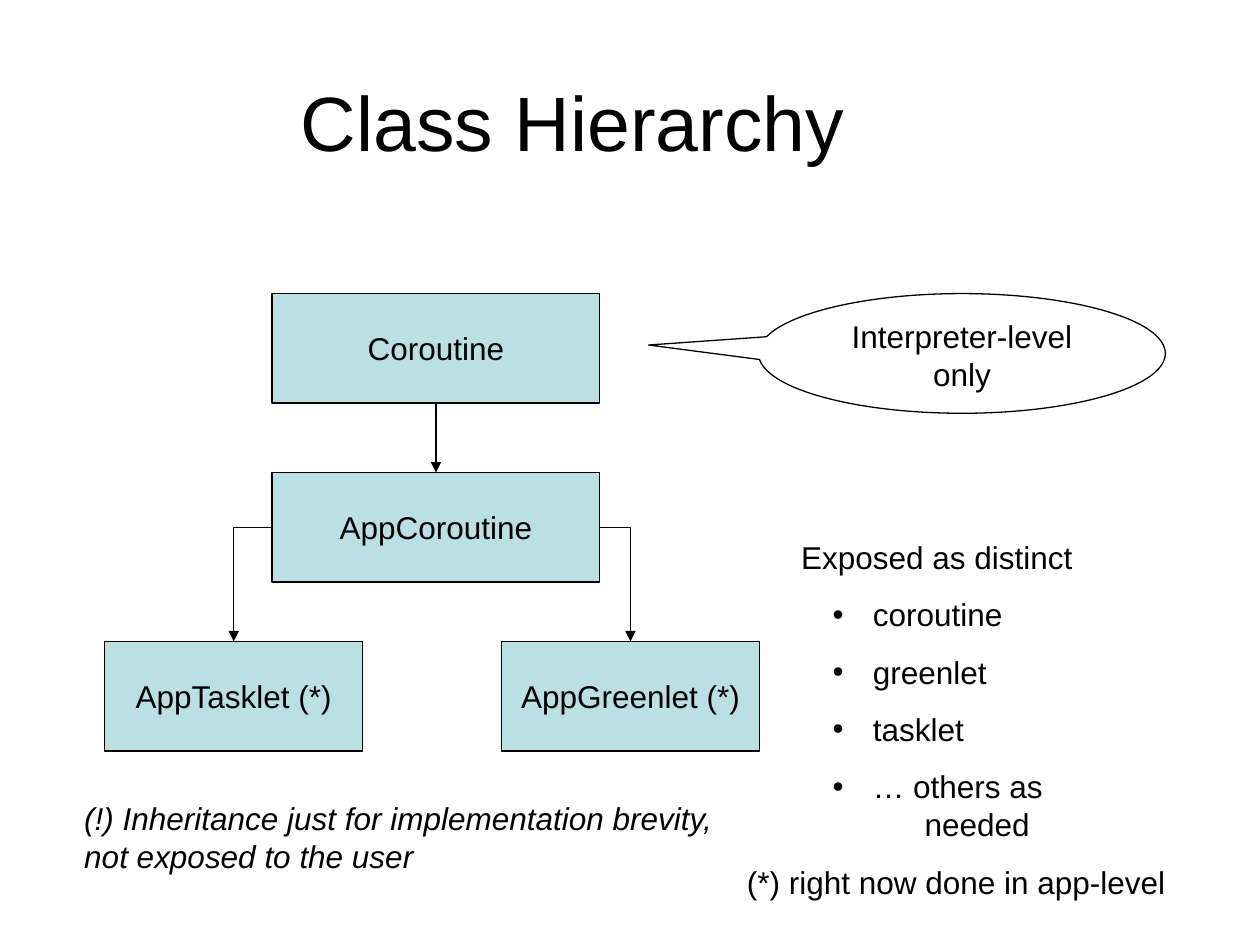
from lxml.etree import SubElement
from pptx import Presentation
from pptx.dml.color import RGBColor
from pptx.enum.shapes import MSO_CONNECTOR as Link, MSO_SHAPE as Shape
from pptx.enum.text import MSO_ANCHOR as Anchor, PP_ALIGN as Align
from pptx.oxml.ns import qn
from pptx.util import Inches, Pt

BLACK = RGBColor(0x00, 0x00, 0x00)
PALE_TEAL = RGBColor(0xBB, 0xE0, 0xE3)
TOP, LEFT, BOTTOM, RIGHT = range(4)


def style(para, size=18, align=Align.LEFT, italic=False, before=0):
    para.alignment = align
    para.space_before = Pt(before)
    font = para.font
    font.name, font.size, font.italic = "Arial", Pt(size), italic
    font.color.rgb = BLACK


def add_text(page, place, lines, anchor=Anchor.TOP, **look):
    frame = page.shapes.add_textbox(*map(Inches, place)).text_frame
    frame.word_wrap = True
    frame.vertical_anchor = anchor
    frame.text = "\n".join(lines)
    for para in frame.paragraphs:
        style(para, **look)
    return frame


def add_outlined(page, kind, place, text, anchor, wrap):
    shape = page.shapes.add_shape(kind, *map(Inches, place))
    shape.shadow.inherit = False
    shape.fill.background()
    shape.line.color.rgb = BLACK
    shape.line.width = Pt(0.75)
    frame = shape.text_frame
    frame.word_wrap = wrap
    frame.vertical_anchor = anchor
    frame.text = text
    style(frame.paragraphs[0], align=Align.CENTER)
    return shape


def add_class(page, name, left, top, width):
    box = add_outlined(page, Shape.RECTANGLE, (left, top, width, 0.87), name,
                       Anchor.MIDDLE, False)
    box.fill.solid()
    box.fill.fore_color.rgb = PALE_TEAL
    return box


def add_arrow(page, parent, side, child):
    kind = Link.STRAIGHT if side == BOTTOM else Link.ELBOW
    arrow = page.shapes.add_connector(kind, 0, 0, 0, 0)
    arrow.begin_connect(parent, side)
    arrow.end_connect(child, TOP)
    arrow.line.color.rgb = BLACK
    arrow.line.width = Pt(0.75)
    properties = arrow._element.spPr
    if kind == Link.ELBOW:
        properties.find(qn("a:prstGeom")).set("prst", "bentConnector2")
    SubElement(properties.find(qn("a:ln")), qn("a:tailEnd"), type="triangle")
    SubElement(properties, qn("a:effectLst"))


def indent(para, margin, first_line=0, bullet=None):
    para.level = 1
    properties = para._p.get_or_add_pPr()
    properties.set("marL", str(Inches(margin)))
    properties.set("indent", str(Inches(first_line)))
    if bullet:
        color = SubElement(properties, qn("a:buClr"))
        SubElement(color, qn("a:srgbClr"), val=str(BLACK))
        SubElement(properties, qn("a:buFont"), typeface="Arial")
        SubElement(properties, qn("a:buChar"), char=bullet)
        properties.append(properties.find(qn("a:defRPr")))


def add_exposed_list(page):
    lines = ["Exposed as distinct", "coroutine", "greenlet", "tasklet",
             "… others as", "needed"]
    frame = add_text(page, (6.26, 4.22, 3.39, 2.53), lines, before=11.2)
    *items, continuation = frame.paragraphs[1:]
    for para in items:
        indent(para, 0.57, -0.32, "•")
    indent(continuation, 0.98)
    continuation.space_before = Pt(0)


def main():
    deck = Presentation()
    deck.slide_width, deck.slide_height = Inches(10), Inches(7.5)
    page = deck.slides.add_slide(deck.slide_layouts[6])

    add_text(page, (0.92, 0.33, 7.25, 1.25), ["Class Hierarchy"],
             Anchor.MIDDLE, size=44, align=Align.CENTER)

    coroutine = add_class(page, "Coroutine", 2.16, 2.33, 2.6)
    app_coroutine = add_class(page, "AppCoroutine", 2.16, 3.75, 2.6)
    greenlet = add_class(page, "AppGreenlet (*)", 3.98, 5.09, 2.05)
    tasklet = add_class(page, "AppTasklet (*)", 0.83, 5.09, 2.05)
    add_arrow(page, coroutine, BOTTOM, app_coroutine)
    add_arrow(page, app_coroutine, LEFT, tasklet)
    add_arrow(page, app_coroutine, RIGHT, greenlet)

    callout = add_outlined(page, Shape.OVAL_CALLOUT, (6.02, 2.33, 3.23, 0.95),
                           "Interpreter-level only", Anchor.TOP, True)
    callout.adjustments[0] = -0.77
    callout.adjustments[1] = -0.07

    add_exposed_list(page)
    add_text(page, (0.57, 6.29, 5.38, 0.7),
             ["(!) Inheritance just for implementation brevity, "
              "not exposed to the user"], italic=True)
    add_text(page, (5.83, 6.8, 3.92, 0.4),
             ["(*) right now done in app-level"], before=11.2)
    deck.save("out.pptx")


if __name__ == "__main__":
    main()
